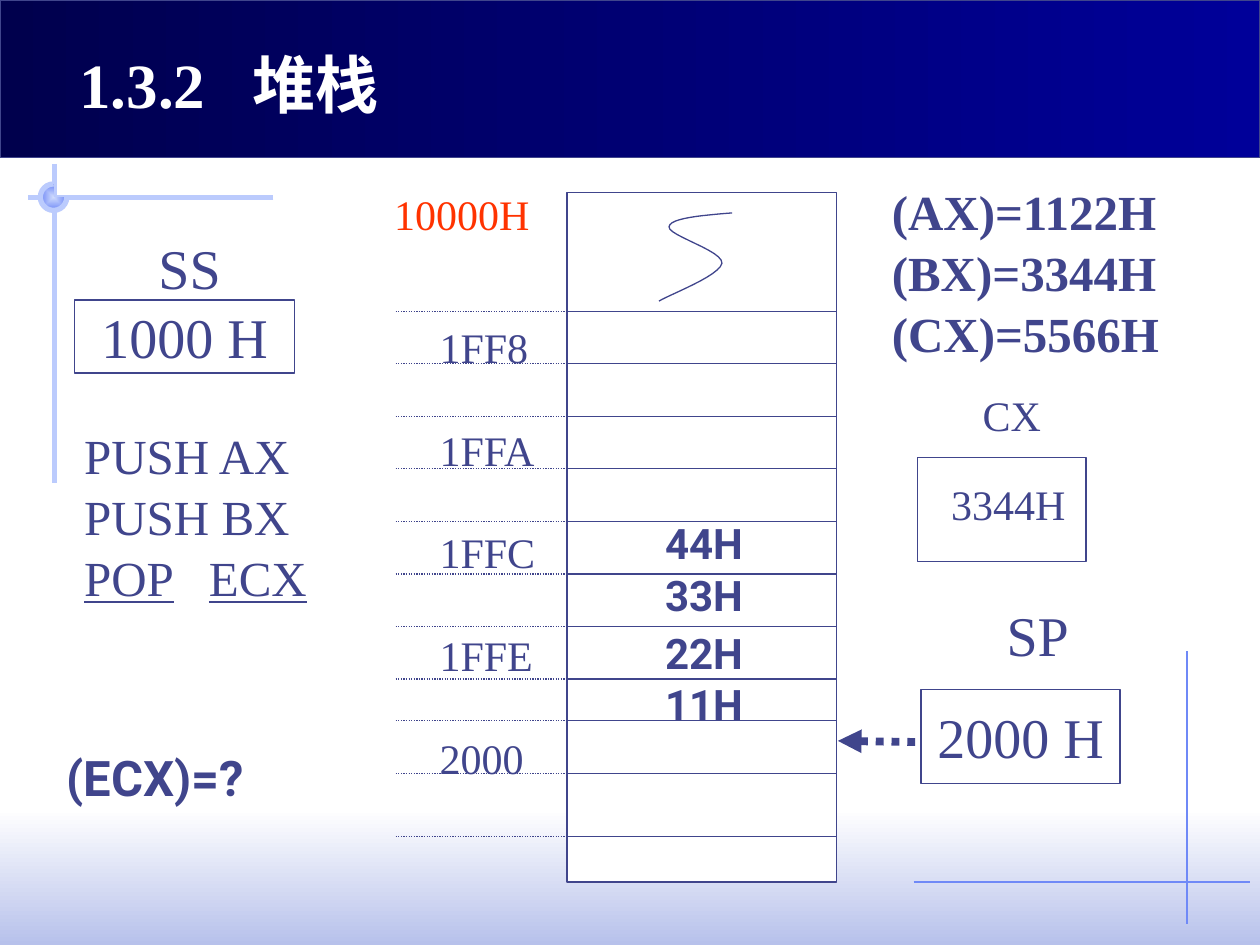
from lxml.etree import SubElement
from pptx import Presentation
from pptx.dml.color import RGBColor
from pptx.enum.dml import MSO_LINE
from pptx.enum.shapes import MSO_CONNECTOR, MSO_SHAPE
from pptx.enum.text import MSO_ANCHOR, MSO_AUTO_SIZE, PP_ALIGN
from pptx.oxml.ns import qn
from pptx.util import Inches, Pt

INK, PALE, BLUE, WHITE = "40458C", "BBCBFD", "6F89F7", "FFFFFF"
SERIF, SANS = "Times New Roman", "Roboto"

TITLE = "1.3.2\t堆栈"
# left, top, width, lines, size, font, bold, colour, gap between lines in points
TEXTS = [
    (1.16, 1.8, 0.93, ["SS"], 32, SERIF, False, INK, 0),
    (3.03, 1.45, 1.4, ["10000H"], 24, SERIF, False, "FF3300", 0),
    (3.39, 2.5, 1.1, ["1FF8", "1FFA", "1FFC", "1FFE", "2000"],
     24, SERIF, False, INK, 30),
    (7.89, 4.72, 0.9, ["SP"], 32, SERIF, False, INK, 0),
    (6.98, 1.39, 2.6, ["(AX)=1122H", "(BX)=3344H", "(CX)=5566H"],
     28, SERIF, True, INK, 1.2),
    (0.57, 3.33, 2.3, ["PUSH AX", "PUSH BX", "POP\tECX"],
     28, SERIF, False, INK, 1.2),
    (7.7, 3.04, 0.9, ["CX"], 24, SERIF, False, INK, 0),
    (7.45, 3.75, 1.2, ["3344H"], 24, SERIF, False, INK, 0),
    (5.18, 4.06, 1, ["44H", "33H"], 24, SANS, True, INK, 0.5),
    (5.18, 4.93, 1, ["22H", "11H"], 24, SANS, True, INK, 0.5),
    (0.43, 5.88, 1.99, ["(ECX)=?"], 28, SANS, True, INK, 0),
]
BOXES = [
    (0.59, 2.38, 1.75, 0.58, "1000 H"),
    (7.31, 5.47, 1.58, 0.75, "2000 H"),
    (7.28, 3.63, 1.34, 0.83, ""),
]
GUIDES = [
    (9.42, 5.17, 9.42, 7.33, BLUE, 0.75),
    (7.25, 7, 9.92, 7, BLUE, 0.75),
    (2.17, 1.57, 0.22, 1.57, PALE, 3),
    (0.43, 1.3, 0.43, 3.83, PALE, 3),
]
EDGE, LEFT, RIGHT, TOP, FOOT = 3.14, 4.5, 6.64, 1.53, 7
ROWS = [2.47 + 0.417 * i for i in range(8)] + [5.72, 6.14, 6.64]
WAVE = [
    [(5.81, 1.69), (5.57, 1.71), (5.32, 1.73), (5.31, 1.8)],
    [(5.31, 1.8), (5.3, 1.87), (5.74, 1.99), (5.73, 2.09)],
    [(5.73, 2.09), (5.71, 2.19), (5.31, 2.34), (5.23, 2.39)],
]

deck = Presentation()
deck.slide_width, deck.slide_height = Inches(10), Inches(7.5)
slide = deck.slides.add_slide(deck.slide_layouts[5])
shapes = slide.shapes


def rgb(code):
    return RGBColor.from_string(code)


def shade(shape, first, last, angle):
    shape.fill.gradient()
    shape.fill.gradient_angle = angle
    for stop, code in zip(shape.fill.gradient_stops, (first, last)):
        stop.color.rgb = rgb(code)


def stroke(line, code, width=0.75):
    line.color.rgb = rgb(code)
    line.width = Pt(width)


def block(kind, x, y, w, h, fill=None, edge=None, width=0.75):
    shape = shapes.add_shape(kind, *map(Inches, (x, y, w, h)))
    shape.shadow.inherit = False
    if fill:
        shape.fill.solid()
        shape.fill.fore_color.rgb = rgb(fill)
    else:
        shape.fill.background()
    if edge:
        stroke(shape.line, edge, width)
    else:
        shape.line.fill.background()
    return shape


def rule(x1, y1, x2, y2, code=INK, width=0.75, dash=None):
    link = shapes.add_connector(
        MSO_CONNECTOR.STRAIGHT, *map(Inches, (x1, y1, x2, y2)))
    stroke(link.line, code, width)
    if dash:
        link.line.dash_style = dash
    SubElement(link.element.spPr, qn("a:effectLst"))
    return link


def write(para, text, size, font=SERIF, bold=False, code=INK):
    run = para.add_run()
    run.text = text
    run.font.size, run.font.name, run.font.bold = Pt(size), font, bold
    run.font.color.rgb = rgb(code)
    return run


def tab(para, inches):
    stops = SubElement(para._p.get_or_add_pPr(), qn("a:tabLst"))
    SubElement(stops, qn("a:tab"), pos=str(Inches(inches)), algn="l")


def note(x, y, w, lines, size, font, bold, code, gap):
    height = 0.1 + (len(lines) * size * 1.2 + (len(lines) - 1) * gap) / 72
    frame = shapes.add_textbox(*map(Inches, (x, y, w, height))).text_frame
    frame.word_wrap = True
    for i, text in enumerate(lines):
        para = frame.add_paragraph() if i else frame.paragraphs[0]
        if i and gap:
            para.space_before = Pt(gap)
        run = write(para, text, size, font, bold, code)
        if "\t" in text:
            tab(para, 0.99)
            run.font.underline = True


def bend(points, t):
    """Point at share t of a cubic curve."""
    parts = ((1 - t) ** 3, 3 * t * (1 - t) ** 2, 3 * t * t * (1 - t), t ** 3)
    return tuple(Inches(sum(k * p[axis] for k, p in zip(parts, points)))
                 for axis in (0, 1))


# Backdrop
shade(block(MSO_SHAPE.RECTANGLE, 0, 6.42, 10, 1.08), WHITE, "B7C1EB", 270)
for guide in GUIDES:
    rule(*guide)
knob = (0.32, 1.46, 0.21, 0.21)
pie = block(MSO_SHAPE.PIE, *knob)
shade(pie, "CFDBFD", BLUE, 0)
grad = pie.element.spPr.find(qn("a:gradFill"))
grad.remove(grad.find(qn("a:lin")))
glow = SubElement(grad, qn("a:path"), path="rect")
SubElement(glow, qn("a:fillToRect"), l="50000", t="50000", r="50000", b="50000")
arc = block(MSO_SHAPE.ARC, *knob, edge=PALE, width=3)
arc.adjustments[0], arc.adjustments[1] = 0, 162
shade(block(MSO_SHAPE.RECTANGLE, 0, 0, 10, 1.25, edge=INK), "00004D", "000099", 0)

# Title
title = shapes.title
title.left, title.top, title.width, title.height = map(Inches, (0.53, 0.31, 4, 0.7))
frame = title.text_frame
frame.word_wrap, frame.auto_size = True, MSO_AUTO_SIZE.NONE
frame.vertical_anchor = MSO_ANCHOR.TOP
head = frame.paragraphs[0]
head.alignment = PP_ALIGN.LEFT
write(head, TITLE, 36, bold=True, code=WHITE)
tab(head, 1.37)
title.element.getparent().append(title.element)

# Stack memory
block(MSO_SHAPE.RECTANGLE, LEFT, TOP, RIGHT - LEFT, FOOT - TOP, WHITE, INK)
for y in ROWS:
    rule(LEFT, y, RIGHT, y)
    rule(EDGE, y, LEFT, y, dash=MSO_LINE.ROUND_DOT)
dots = [bend(part, i / 12) for part in WAVE for i in range(13)]
pen = shapes.build_freeform(*dots[0], scale=1.0)
pen.add_line_segments(dots[1:], close=False)
wave = pen.convert_to_shape()
wave.shadow.inherit = False
wave.fill.background()
stroke(wave.line, INK)

# Registers and pointer
for x, y, w, h, text in BOXES:
    box = block(MSO_SHAPE.RECTANGLE, x, y, w, h, WHITE, INK)
    if text:
        box.text_frame.word_wrap = False
        box.text_frame.paragraphs[0].alignment = PP_ALIGN.CENTER
        write(box.text_frame.paragraphs[0], text, 32)
arrow = rule(6.65, 5.88, 7.31, 5.89, width=4.5, dash=MSO_LINE.ROUND_DOT)
SubElement(arrow.line._get_or_add_ln(), qn("a:headEnd"), type="triangle")
for item in TEXTS:
    note(*item)

deck.save("out.pptx")
